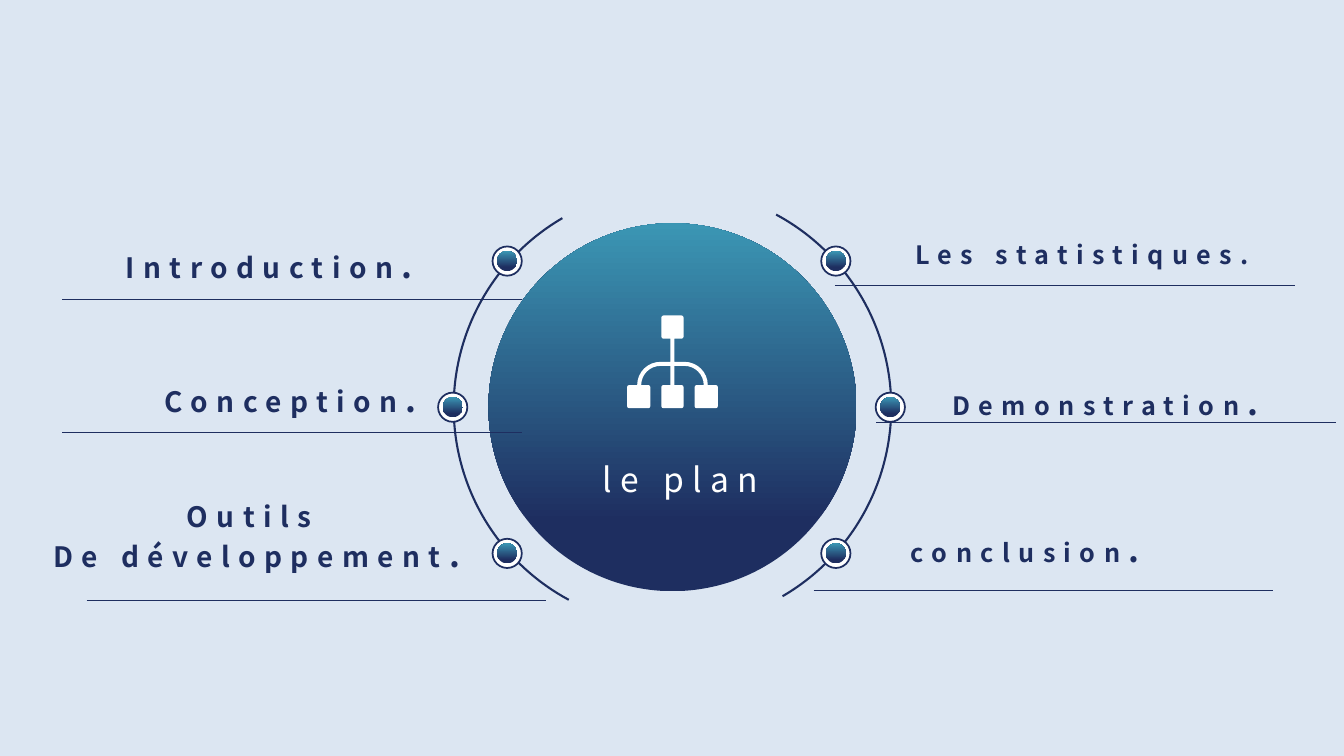
from lxml import etree
from pptx import Presentation
from pptx.dml.color import RGBColor
from pptx.enum.shapes import MSO_CONNECTOR, MSO_SHAPE
from pptx.enum.text import MSO_ANCHOR, MSO_AUTO_SIZE, PP_ALIGN
from pptx.oxml.ns import qn
from pptx.util import Inches, Pt

OVAL, ARC = MSO_SHAPE.OVAL, MSO_SHAPE.ARC
STRAIGHT = MSO_CONNECTOR.STRAIGHT
CENTER, TOP = PP_ALIGN.CENTER, MSO_ANCHOR.TOP
GROW = MSO_AUTO_SIZE.SHAPE_TO_FIT_TEXT

NAVY = RGBColor(0x1E, 0x2E, 0x60)
TEAL = RGBColor(0x3B, 0x96, 0xB4)
WHITE = RGBColor(0xFF, 0xFF, 0xFF)
PALE = RGBColor(0xDC, 0xE6, 0xF2)
FONT = "Noto Sans CJK SC"

TITLE = " le plan"
TITLE_BOX = (5.35, 4.55, 2.64, 0.4)
AGENDA = [
    ([[("Introduction", 20), (".", 24)]], (1.19, 2.43, 2.96, 0.4), False),
    ([[("Conception", 20), (".", 24)]], (1.56, 3.76, 2.64, 0.4), False),
    ([[("Outils ", 20)], [("De développement", 20), (".", 24)]],
     (0.44, 4.96, 4.21, 0.74), False),
    ([[("Demonstration", 18), (".", 24)]], (9.37, 3.79, 3.19, 0.4), False),
    ([[("conclusion", 18), (".", 24)]], (8.98, 5.25, 2.38, 0.4), False),
    ([[("Les statistiques.", 18)]], (7.4, 2.33, 6.67, 0.4), True),
]
RULE_STARTS = [(0.62, 2.97), (0.62, 4.29), (0.86, 5.96),
               (8.28, 2.83), (8.69, 4.19), (8.07, 5.86)]
RULE_LENGTH = 4.56

HUB_X, HUB_Y = 6.67, 4.04
HUB_SIZE, ORBIT_SIZE = 3.65, 4.34
NODE_AXIS = 6.66
NODE_SIZE, CORE_SIZE = 0.29, 0.2
NODE_OFFSETS = [(1.63, -1.45), (2.17, 0), (1.63, 1.45)]

ICON_X, ICON_TOP = 6.67, 3.13
ICON_HALF = [
    (0.11, 0, 0.02), (0.11, 0.23, 0.02), (0.02, 0.23, 0), (0.02, 0.46, 0),
    (0.35, 0.46, 0.23), (0.35, 0.69, 0),
    (0.45, 0.69, 0.02), (0.45, 0.92, 0.02), (0.22, 0.92, 0.02), (0.22, 0.69, 0.02),
    (0.31, 0.69, 0), (0.31, 0.5, 0.19), (0.02, 0.5, 0), (0.02, 0.69, 0),
    (0.11, 0.69, 0.02), (0.11, 0.92, 0.02),
]
CURVE_PULL = 0.45


def fade(fill):
    fill.gradient()
    fill.gradient_angle = 90
    for stop, position, color in zip(fill.gradient_stops, (0.19, 1), (NAVY, TEAL)):
        stop.position = position
        stop.color.rgb = color


def add_round(preset, x, y, size, line_width=None):
    shape = slide.shapes.add_shape(
        preset, *(Inches(v) for v in (x - size / 2, y - size / 2, size, size)))
    shape.shadow.inherit = False
    if line_width:
        shape.line.color.rgb = NAVY
        shape.line.width = Pt(line_width)
    else:
        shape.line.fill.background()
    return shape


def prepare(frame, wrap, padded):
    if not padded:
        frame.margin_left = frame.margin_right = 0
        frame.margin_top = frame.margin_bottom = 0
    frame.vertical_anchor = TOP
    frame.word_wrap = wrap
    frame.auto_size = GROW


def add_run(paragraph, text, size, bold):
    paragraph.alignment = CENTER
    run = paragraph.add_run()
    run.text = text
    run.font.name = FONT
    run.font.size = Pt(size)
    run.font.bold = bold
    run.font._element.set("spc", "600")
    return run


def toward(corner, other, distance):
    dx, dy = other[0] - corner[0], other[1] - corner[1]
    length = abs(dx) + abs(dy)
    return corner[0] + dx / length * distance, corner[1] + dy / length * distance


def add_tree_icon():
    corners = ICON_HALF + [(-x, y, r) for x, y, r in reversed(ICON_HALF)]
    points, curve_starts = [], []
    for i, corner in enumerate(corners):
        radius = corner[2]
        before, after = corners[i - 1], corners[(i + 1) % len(corners)]
        if radius:
            curve_starts.append(len(points))
            points += [toward(corner, before, radius),
                       toward(corner, before, radius * CURVE_PULL),
                       toward(corner, after, radius * CURVE_PULL),
                       toward(corner, after, radius)]
        else:
            points.append(corner[:2])
    points = [(Inches(ICON_X + x), Inches(ICON_TOP + y)) for x, y in points]
    builder = slide.shapes.build_freeform(*points[0])
    builder.add_line_segments(points[1:], close=True)
    icon = builder.convert_to_shape()
    icon.shadow.inherit = False
    icon.fill.solid()
    icon.fill.fore_color.rgb = WHITE
    icon.line.fill.background()

    segments = list(icon._element.iter(qn("a:lnTo")))
    for start in curve_starts:
        pieces = segments[start:start + 3]
        curve = etree.Element(qn("a:cubicBezTo"))
        pieces[0].addprevious(curve)
        for piece in pieces:
            curve.append(piece[0])
            piece.getparent().remove(piece)


deck = Presentation()
deck.slide_width, deck.slide_height = Inches(13.33), Inches(7.5)
slide = deck.slides.add_slide(deck.slide_layouts[5])
slide.background.fill.solid()
slide.background.fill.fore_color.rgb = PALE

fade(add_round(OVAL, HUB_X, HUB_Y, HUB_SIZE).fill)
for flip in ("1", "0"):
    orbit = add_round(ARC, HUB_X, HUB_Y, ORBIT_SIZE, 1.5)
    orbit.adjustments[0], orbit.adjustments[1] = 178.97, 35.87
    orbit.fill.background()
    placement = orbit._element.spPr.find(qn("a:xfrm"))
    placement.set("flipH", flip)
    placement.set("flipV", flip)

for side in (-1, 1):
    for dx, dy in NODE_OFFSETS:
        x, y = NODE_AXIS + side * dx, HUB_Y + dy
        node = add_round(OVAL, x, y, NODE_SIZE, 1.25)
        node.fill.solid()
        node.fill.fore_color.rgb = WHITE
        fade(add_round(OVAL, x, y, CORE_SIZE).fill)

add_tree_icon()

title = slide.shapes.title
title.left, title.top, title.width, title.height = map(Inches, TITLE_BOX)
prepare(title.text_frame, True, False)
title_run = add_run(title.text_frame.paragraphs[0], TITLE, 24, False)
title_run.font.color.rgb = WHITE
slide.shapes._spTree.append(title._element)

for lines, box, padded in AGENDA:
    frame = slide.shapes.add_textbox(*map(Inches, box)).text_frame
    prepare(frame, padded, padded)
    for number, line in enumerate(lines):
        paragraph = frame.add_paragraph() if number else frame.paragraphs[0]
        for text, size in line:
            fade(add_run(paragraph, text, size, True).font.fill)

for x, y in RULE_STARTS:
    rule = slide.shapes.add_connector(
        STRAIGHT, Inches(x), Inches(y), Inches(x + RULE_LENGTH), Inches(y))
    rule.line.color.rgb = NAVY
    rule.line.width = Pt(0.5)
    etree.SubElement(rule._element.spPr, qn("a:effectLst"))

deck.save("out.pptx")
